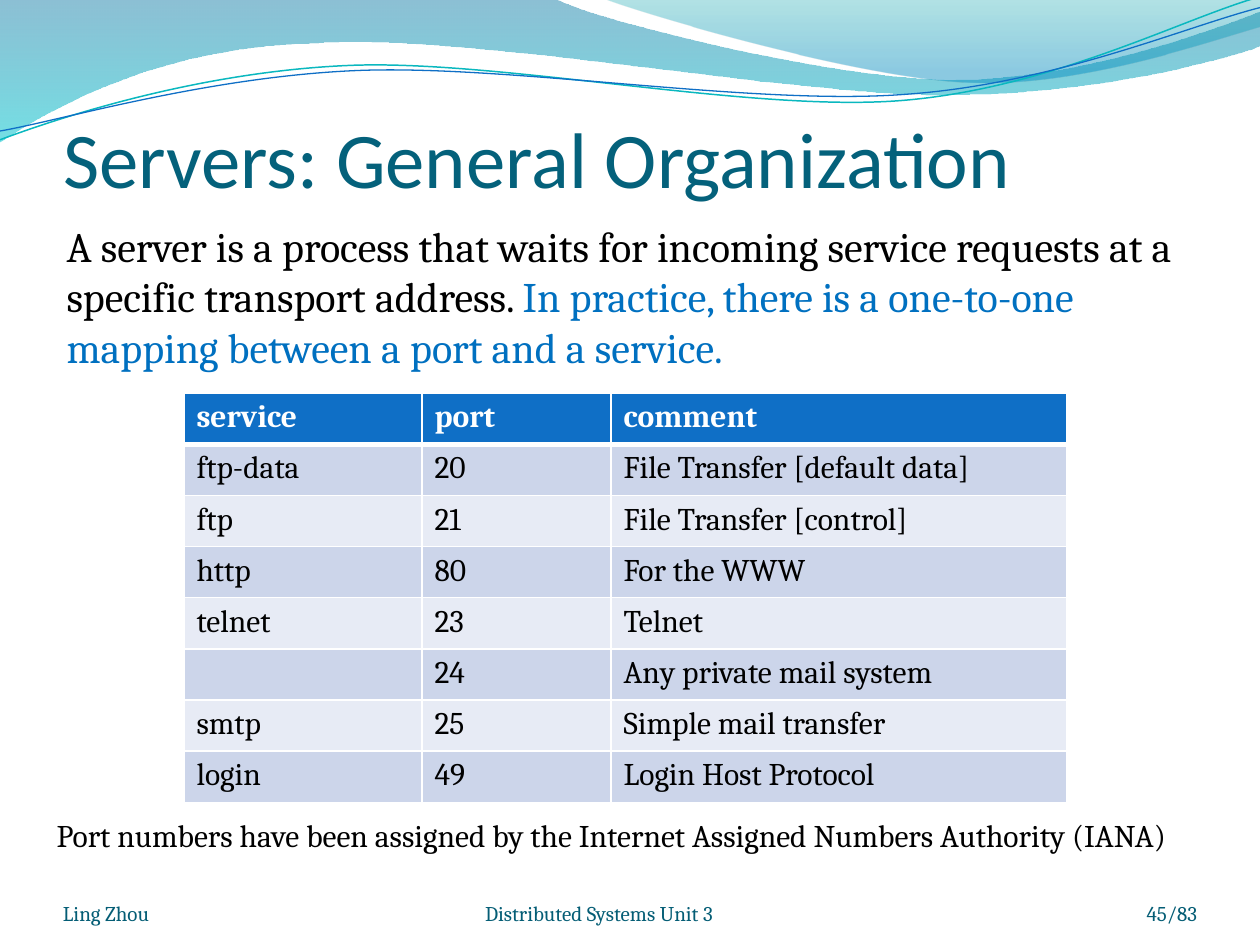
from dataclasses import dataclass
from math import cos, radians, sin
from typing import NamedTuple

from lxml.etree import SubElement as Sub
from pptx import Presentation
from pptx.dml.color import RGBColor as Rgb
from pptx.enum.text import MSO_ANCHOR as Anchor, PP_ALIGN as Align
from pptx.oxml.ns import qn
from pptx.util import Pt

PX = 9144

WHITE = Rgb(0xFF, 0xFF, 0xFF)
BLACK = Rgb(0, 0, 0)
TITLE = Rgb(0x04, 0x61, 0x7B)
FOOT = Rgb(0x04, 0x5D, 0x75)
ACCENT = Rgb(0x00, 0x70, 0xC0)
BLUE = Rgb(0x0F, 0x6F, 0xC6)
TEAL = Rgb(0x0A, 0xB8, 0xBF)
DARK = Rgb(0xCC, 0xD5, 0xEA)
LIGHT = Rgb(0xE7, 0xEB, 0xF5)
DEEP = Rgb(0x00, 0x74, 0xA1)
AQUA = Rgb(0x00, 0xC6, 0xCF)
SEA = Rgb(0x00, 0xA1, 0xA9)
SKY = Rgb(0x00, 0x8B, 0xBF)


class Stop(NamedTuple):
    pos: float
    color: Rgb
    alpha: int


@dataclass
class Wave:
    area: tuple
    start: tuple
    segs: list
    stops: tuple = ()
    line: Rgb = None
    width: float = 0
    turn: float = 0


@dataclass
class Note:
    area: tuple
    runs: list
    size: int
    align: Align = Align.LEFT
    flush: bool = True
    face: str = "Cambria"
    base: int = 0


WAVES = [
    Wave((-1, -1, 1002, 114), (0, 0), [
        (440, -1),
        (476, 17, 664, 63, 758, 63), (853, 63, 958, 26, 1000, 9),
        (1001, 36),
        (983, 44, 870, 76, 746, 75), (622, 75, 382, 28, 257, 34),
        (129, 36, 46, 83, -1, 113), (0, 0),
    ], (Stop(0, DEEP, 45), Stop(1, AQUA, 55))),
    Wave((479, -1, 521, 70), (479, -1), [
        (509, 11, 682, 62, 769, 65), (856, 69, 961, 32, 1000, 21),
        (1000, 0), (479, -1),
    ], (Stop(0, SEA, 30), Stop(0.8, SKY, 45))),
    Wave((-2, 22, 1002, 71), (0, 111), [
        (48, 93, 158, 57, 277, 52), (395, 47, 593, 89, 713, 80),
        (833, 71, 938, 15, 998, -2),
    ], line=TEAL, width=0.85, turn=-2.7),
    Wave((-2, 30, 1003, 58), (0, 104), [
        (47, 96, 164, 61, 283, 56), (403, 51, 597, 84, 717, 75),
        (836, 67, 941, 21, 1000, 6),
    ], line=BLUE, width=0.75, turn=-2.7),
]

HEAD = Note((50, 77, 900, 85), [("Servers: General Organization", TITLE)],
            45, face="Calibri", base=5)

NOTES = [
    Note((50, 695, 233, 40), [("Ling Zhou", FOOT)], 12),
    Note((292, 695, 367, 40), [("Distributed Systems Unit 3", FOOT)], 12,
         Align.CENTER),
    Note((43, 170, 906, 172), [
        ("A server is a process that waits for incoming service requests "
         "at a specific transport address. ", BLACK),
        ("In practice, there is a one-to-one mapping between a port and "
         "a service.", ACCENT),
    ], 24, flush=False),
    Note((35, 643, 945, 40), [
        ("Port numbers have been assigned by the Internet Assigned Numbers "
         "Authority (IANA)", BLACK),
    ], 18, flush=False),
    Note((867, 695, 83, 40), [("45/83", FOOT)], 12, Align.RIGHT),
]

AREA = (146, 312, 701, 325)
COLS = (189, 150, 362)
ROWS = [
    ("service", "port", "comment"),
    ("ftp-data", "20", "File Transfer [default data]"),
    ("ftp", "21", "File Transfer [control]"),
    ("http", "80", "For the WWW"),
    ("telnet", "23", "Telnet"),
    ("", "24", "Any private mail system"),
    ("smtp", "25", "Simple mail transfer"),
    ("login", "49", "Login Host Protocol"),
]


def emu(vals: tuple) -> list[int]:
    return [val * PX for val in vals]


def apply(item, vals: dict) -> None:
    for key, val in vals.items():
        setattr(item, key, val)


def write(para, text: str, size: int, color: Rgb, face: str = "Cambria",
          bold: bool = False) -> None:
    run = para.add_run()
    run.text = text
    apply(run.font, {"name": face, "size": Pt(size), "bold": bold})
    run.font.color.rgb = color


def add_step(path, kind: str, nums: tuple, wave: Wave) -> None:
    left, top, wide, high = wave.area
    turn = radians(-wave.turn)
    step = Sub(path, qn(f"a:{kind}"))
    for x, y in zip(nums[::2], nums[1::2]):
        dx, dy = x - left - wide / 2, y - top - high / 2
        px = wide / 2 + dx * cos(turn) - dy * sin(turn)
        py = high / 2 + dx * sin(turn) + dy * cos(turn)
        Sub(step, qn("a:pt"), x=str(round(px * PX)), y=str(round(py * PX)))


def draw_wave(slide, wave: Wave) -> None:
    left, top, wide, high = emu(wave.area)
    frame = slide.shapes.build_freeform(left, top)
    frame.add_line_segments([(left + wide, top), (left + wide, top + high),
                             (left, top + high)], close=False)
    shape = frame.convert_to_shape()
    path = next(shape._element.iter(qn("a:path")))
    for old in list(path):
        path.remove(old)
    add_step(path, "moveTo", wave.start, wave)
    for seg in wave.segs:
        add_step(path, "lnTo" if len(seg) == 2 else "cubicBezTo", seg, wave)
    shape.rotation = wave.turn
    shape.shadow.inherit = False
    if not wave.stops:
        shape.fill.background()
        shape.line.color.rgb = wave.line
        shape.line.width = Pt(wave.width)
        return
    Sub(path, qn("a:close"))
    shape.line.fill.background()
    shape.fill.gradient()
    shape.fill.gradient_angle = 270
    for mark, stop in zip(shape.fill.gradient_stops, wave.stops):
        mark.color.rgb = stop.color
        mark.position = stop.pos
    grad = shape._element.spPr.find(qn("a:gradFill"))
    for tint, stop in zip(grad.iter(qn("a:srgbClr")), wave.stops):
        Sub(tint, qn("a:alpha"), val=str(stop.alpha * 1000))


def fill_note(shape, note: Note) -> None:
    apply(shape, dict(zip(("left", "top", "width", "height"),
                          emu(note.area))))
    frame = shape.text_frame
    frame.word_wrap = True
    if note.flush:
        apply(frame, {"margin_left": 0, "margin_right": 0,
                      "margin_top": note.base * PX, "margin_bottom": 0,
                      "vertical_anchor": Anchor.BOTTOM})
    para = frame.paragraphs[0]
    para.alignment = note.align
    for text, color in note.runs:
        write(para, text, note.size, color, note.face)


def edge_cell(cell) -> None:
    props = cell._tc.get_or_add_tcPr()
    for side, width in {"L": 1, "R": 1, "T": 1, "B": 3}.items():
        line = Sub(props, qn(f"a:ln{side}"), w=str(Pt(width)))
        Sub(Sub(line, qn("a:solidFill")), qn("a:srgbClr"), val=str(WHITE))


def draw_table(slide) -> None:
    table = slide.shapes.add_table(len(ROWS), len(COLS), *emu(AREA)).table
    for col, width in zip(table.columns, COLS):
        col.width = width * PX
    for r, row in enumerate(ROWS):
        for c, text in enumerate(row):
            cell = table.cell(r, c)
            if r == 0:
                edge_cell(cell)
            cell.fill.solid()
            cell.fill.fore_color.rgb = (LIGHT, DARK)[r % 2] if r else BLUE
            if text:
                write(cell.text_frame.paragraphs[0], text, 18,
                      BLACK if r else WHITE, bold=r == 0)


def main() -> None:
    deck = Presentation()
    apply(deck, {"slide_width": 1000 * PX, "slide_height": 750 * PX})
    slide = deck.slides.add_slide(deck.slide_layouts[5])
    for wave in WAVES:
        draw_wave(slide, wave)
    fill_note(slide.shapes.title, HEAD)
    for note in NOTES:
        fill_note(slide.shapes.add_textbox(*emu(note.area)), note)
    draw_table(slide)
    deck.save("out.pptx")


if __name__ == "__main__":
    main()
